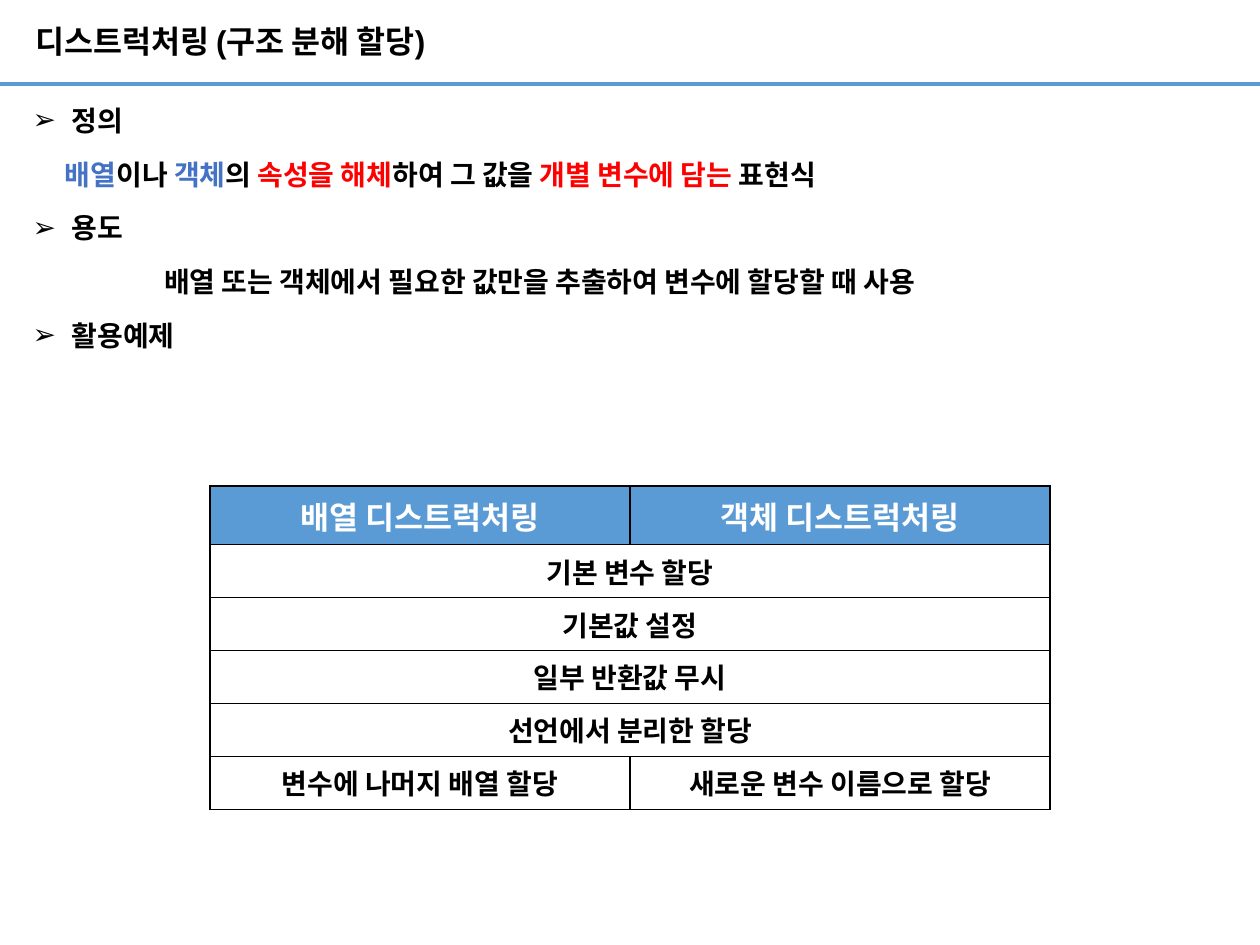
from dataclasses import dataclass
from typing import NamedTuple

from lxml.etree import SubElement
from pptx import Presentation
from pptx.dml.color import RGBColor as RGB
from pptx.enum.shapes import MSO_CONNECTOR as CONN
from pptx.enum.text import MSO_ANCHOR as ANCHOR, MSO_AUTO_SIZE as AUTO, PP_ALIGN as ALIGN
from pptx.oxml.ns import qn
from pptx.util import Cm, Pt


@dataclass(frozen=True)
class Theme:
    latin: str = "Arial"
    korean: str = "Noto Sans CJK KR"
    black: str = "000000"
    white: str = "FFFFFF"
    accent: str = "5B9BD5"
    blue: str = "4472C4"
    red: str = "FF0000"
    large: int = 18
    normal: int = 16


T = Theme()


class Span(NamedTuple):
    text: str
    color: str = T.black


class Item(NamedTuple):
    spans: list[Span]
    indent: float  # cm
    bullet: bool = False


class Row(NamedTuple):
    texts: list[str]
    header: bool = False


def heading(text: str) -> Item:
    return Item([Span(text)], 0.79, bullet=True)


ITEMS = [
    heading("정의"),
    Item([Span("배열", T.blue), Span("이나 "), Span("객체", T.blue), Span("의 "),
          Span("속성을 해체", T.red), Span("하여 그 값을 "),
          Span("개별 변수에 담는 ", T.red), Span("표현식")], 0.65),
    heading("용도"),
    Item([Span("배열 또는 객체에서 필요한 값만을 추출하여 변수에 할당할 때 사용")], 2.65),
    heading("활용예제"),
]
ROWS = [
    Row(["배열 디스트럭처링", "객체 디스트럭처링"], header=True),
    Row(["기본 변수 할당"]),
    Row(["기본값 설정"]),
    Row(["일부 반환값 무시"]),
    Row(["선언에서 분리한 할당"]),
    Row(["변수에 나머지 배열 할당", "새로운 변수 이름으로 할당"]),
]


def add_text(p, text: str, *, size: int = T.normal, color: str = T.black,
             font: str = T.latin, bold: bool = True) -> None:
    r = p.add_run()
    r.text = text
    r.font.name, r.font.size, r.font.bold = font, Pt(size), bold
    r.font.color.rgb = RGB.from_string(color)
    SubElement(r.font._element, qn("a:ea"), typeface=T.korean)


def place(sp, left: float, top: float, width: float, height: float, anchor):
    """Move a placeholder and return its text frame without insets."""
    sp.left, sp.top, sp.width, sp.height = map(Cm, (left, top, width, height))
    tf = sp.text_frame
    tf.margin_left = tf.margin_right = tf.margin_top = tf.margin_bottom = 0
    tf.word_wrap, tf.auto_size, tf.vertical_anchor = True, AUTO.NONE, anchor
    return tf


def add_item(p, item: Item) -> None:
    p.line_spacing, p.space_before, p.alignment = 1.08, Pt(10), ALIGN.LEFT
    pPr = p._p.get_or_add_pPr()
    pPr.set("marL", str(Cm(item.indent)))
    pPr.set("indent", str(-Cm(item.indent) if item.bullet else 0))
    if item.bullet:
        SubElement(pPr, qn("a:buFont"), typeface=T.latin)
        SubElement(pPr, qn("a:buChar"), char="➢")
    else:
        SubElement(pPr, qn("a:buNone"))
    for span in item.spans:
        add_text(p, span.text, color=span.color)


def style_cell(cell, fill: str) -> None:
    tcPr = cell._tc.get_or_add_tcPr()
    for side in ("lnL", "lnR", "lnT", "lnB"):
        ln = SubElement(tcPr, qn(f"a:{side}"), w=str(Pt(1)))
        SubElement(SubElement(ln, qn("a:solidFill")), qn("a:srgbClr"), val=T.black)
    cell.fill.solid()
    cell.fill.fore_color.rgb = RGB.from_string(fill)


def add_table(slide, rows: list[Row], left: float, top: float,
              col_width: float, row_height: float) -> None:
    cols = 2
    tbl = slide.shapes.add_table(len(rows), cols, Cm(left), Cm(top), Cm(cols * col_width),
                                 Cm(len(rows) * row_height)).table
    for i, row in enumerate(rows):
        cells = [tbl.cell(i, j) for j in range(cols)]
        for cell in cells:
            style_cell(cell, T.accent if row.header else T.white)
        if len(row.texts) == 1:
            cells[0].merge(cells[-1])
        for cell, text in zip(cells, row.texts):
            p = cell.text_frame.paragraphs[0]
            p.alignment = ALIGN.CENTER
            add_text(p, text, font=T.korean, size=T.large if row.header else T.normal,
                     color=T.white if row.header else T.black)


def add_rule(slide, y: float) -> None:
    ln = slide.shapes.add_connector(CONN.STRAIGHT, 0, Cm(y), Cm(25.4), Cm(y))
    ln.line.color.rgb = RGB.from_string(T.accent)
    ln.line.width = Pt(2.25)
    SubElement(ln._element.spPr, qn("a:effectLst"))


def main() -> None:
    prs = Presentation()
    prs.slide_width, prs.slide_height = Cm(25.4), Cm(19.05)
    slide = prs.slides.add_slide(prs.slide_layouts[1])

    # Title with the rule below it
    p = place(slide.shapes.title, 0.71, 0, 16.61, 1.73, ANCHOR.MIDDLE).paragraphs[0]
    p.alignment, p.line_spacing = ALIGN.LEFT, 0.9
    add_text(p, "디스트럭처링 (구조 분해 할당)", size=T.large)
    add_rule(slide, 1.7)

    # Definition, use and examples
    tf = place(slide.placeholders[1], 0.66, 2.03, 24, 15.93, ANCHOR.TOP)
    for i, item in enumerate(ITEMS):
        add_item(tf.add_paragraph() if i else tf.paragraphs[0], item)

    # Kinds of destructuring
    add_table(slide, ROWS, left=4.23, top=9.8, col_width=8.47, row_height=1.03)
    prs.save("out.pptx")


if __name__ == "__main__":
    main()
